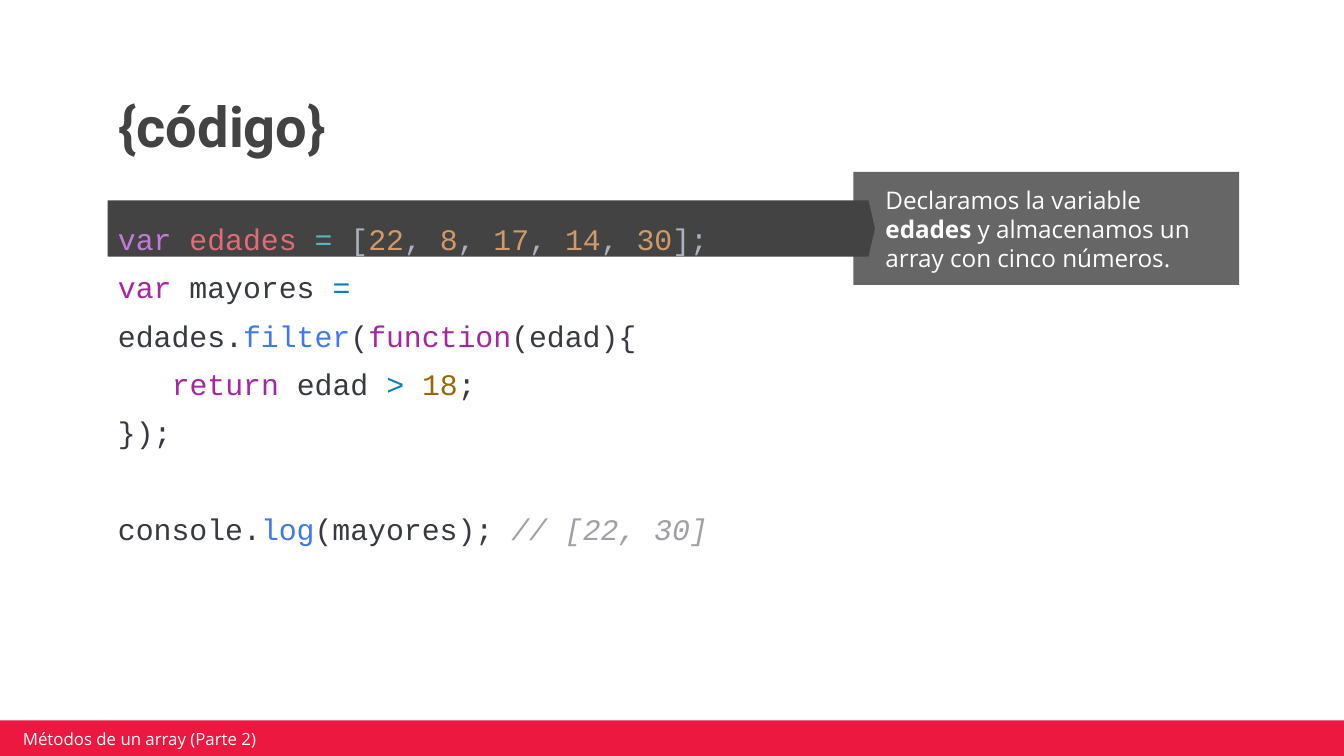
from pptx import Presentation, util as u
from pptx.dml.color import RGBColor
from pptx.enum import shapes, text

WIDTH = 10
HEIGHT = WIDTH * 9 / 16
WHITE, GRAY, DARK, RED = "FFFFFF", "666666", "434343", "EC183F"
PURPLE, INK, TEAL, BLUE = "A626A4", "383A42", "0184BC", "4078F2"
NUMBER, PUNCTUATION = "D19A66", "ABB2BF"

TITLE = "{código}"
FOOTER = "Métodos de un array (Parte 2)"
EXPLANATION = [
    ("Declaramos la variable ", WHITE),
    ("edades ", WHITE, "bold"),
    ("y almacenamos un array con cinco números.", WHITE),
]
AGES = ["22", "8", "17", "14", "30"]
DECLARATION = [("var ", "C678DD"), ("edades ", "E06C75"), ("=", "56B6C2"), (" [", PUNCTUATION)]
for position, age in enumerate(AGES, 1):
    DECLARATION += [(age, NUMBER), (", " if position < len(AGES) else "];", PUNCTUATION)]

# (runs, indent in inches, space before in points)
CODE = [
    (DECLARATION, 0, 0),
    ([("var", PURPLE), (" mayores ", INK), ("=", TEAL), (" edades.", INK), ("filter", BLUE),
      ("(", INK), ("function", PURPLE), ("(edad){", INK)], 0, 0),
    ([("return", PURPLE), (" edad ", INK), ("> ", TEAL), ("18", "986801"), (";", INK)], 0.4, 0),
    ([("});", INK)], 0, 0),
    ([("console.", INK), ("log", BLUE), ("(mayores); ", INK),
      ("// [22, 30]", "A0A1A7", "italic")], 0, 26),
]


def color(value):
    return RGBColor.from_string(value)


def place(shape, box):
    shape.left, shape.top, shape.width, shape.height = map(u.Inches, box)


def format_frame(shape, anchor, insets):
    frame = shape.text_frame
    frame.word_wrap = True
    frame.auto_size = text.MSO_AUTO_SIZE.NONE
    frame.vertical_anchor = anchor
    frame.margin_left, frame.margin_top, frame.margin_right, frame.margin_bottom = map(u.Inches, insets)
    return frame


def write(paragraph, runs, font, size, spacing=None, indent=0, before=0):
    paragraph.alignment = text.PP_ALIGN.LEFT
    paragraph.space_before = u.Pt(before)
    if spacing:
        paragraph.line_spacing = spacing
    if indent:
        properties = paragraph._p.get_or_add_pPr()
        properties.set("marL", str(u.Inches(indent)))
        properties.set("indent", "0")
    for words, hue, *style in runs:
        run = paragraph.add_run()
        run.text = words
        run.font.name, run.font.size = font, u.Pt(size)
        run.font.color.rgb = color(hue)
        run.font.bold = "bold" in style
        run.font.italic = "italic" in style


def add_block(slide, kind, box, fill):
    shape = slide.shapes.add_shape(kind, *map(u.Inches, box))
    shape.shadow.inherit = False
    shape.fill.solid()
    shape.fill.fore_color.rgb = color(fill)
    shape.line.fill.background()
    return shape


def add_text(slide, box, anchor, insets):
    return format_frame(slide.shapes.add_textbox(*map(u.Inches, box)), anchor, insets)


def main():
    presentation = Presentation()
    presentation.slide_width, presentation.slide_height = u.Inches(WIDTH), u.Inches(HEIGHT)
    slide = presentation.slides.add_slide(presentation.slide_layouts[5])
    top, middle, bottom = text.MSO_ANCHOR.TOP, text.MSO_ANCHOR.MIDDLE, text.MSO_ANCHOR.BOTTOM
    rectangle, arrow = shapes.MSO_SHAPE.RECTANGLE, shapes.MSO_SHAPE.RIGHT_ARROW

    title = slide.shapes.title
    place(title, (0.78, 0.6, 8.43, 0.69))
    frame = format_frame(title, bottom, [0.1] * 4)
    write(frame.paragraphs[0], [(TITLE, DARK, "bold")], "Roboto", 30, 0.9)

    add_block(slide, rectangle, (-0.02, 5.36, 10.03, 0.27), RED)
    callout = add_block(slide, rectangle, (6.35, 1.28, 2.87, 0.84), GRAY)
    frame = format_frame(callout, middle, (0.1, 0, 0.1, 0))
    write(frame.paragraphs[0], EXPLANATION, "Open Sans", 13, indent=0.14)

    highlight = add_block(slide, arrow, (0.8, 1.49, 5.71, 0.42), DARK)
    highlight.adjustments[0], highlight.adjustments[1] = 1, 0.114

    frame = add_text(slide, (0.78, 1.29, 5.56, 4.07), top, (0.1, 0.26, 0.1, 0.1))
    for number, (runs, indent, before) in enumerate(CODE):
        paragraph = frame.add_paragraph() if number else frame.paragraphs[0]
        write(paragraph, runs, "Courier New", 16, 1.35, indent, before)

    frame = add_text(slide, (0.12, 5.42, 2.39, 0.15), middle, (0.05, 0.02, 0.05, 0.02))
    write(frame.paragraphs[0], [(FOOTER, WHITE)], "Open Sans", 9)

    presentation.save("out.pptx")


if __name__ == "__main__":
    main()
